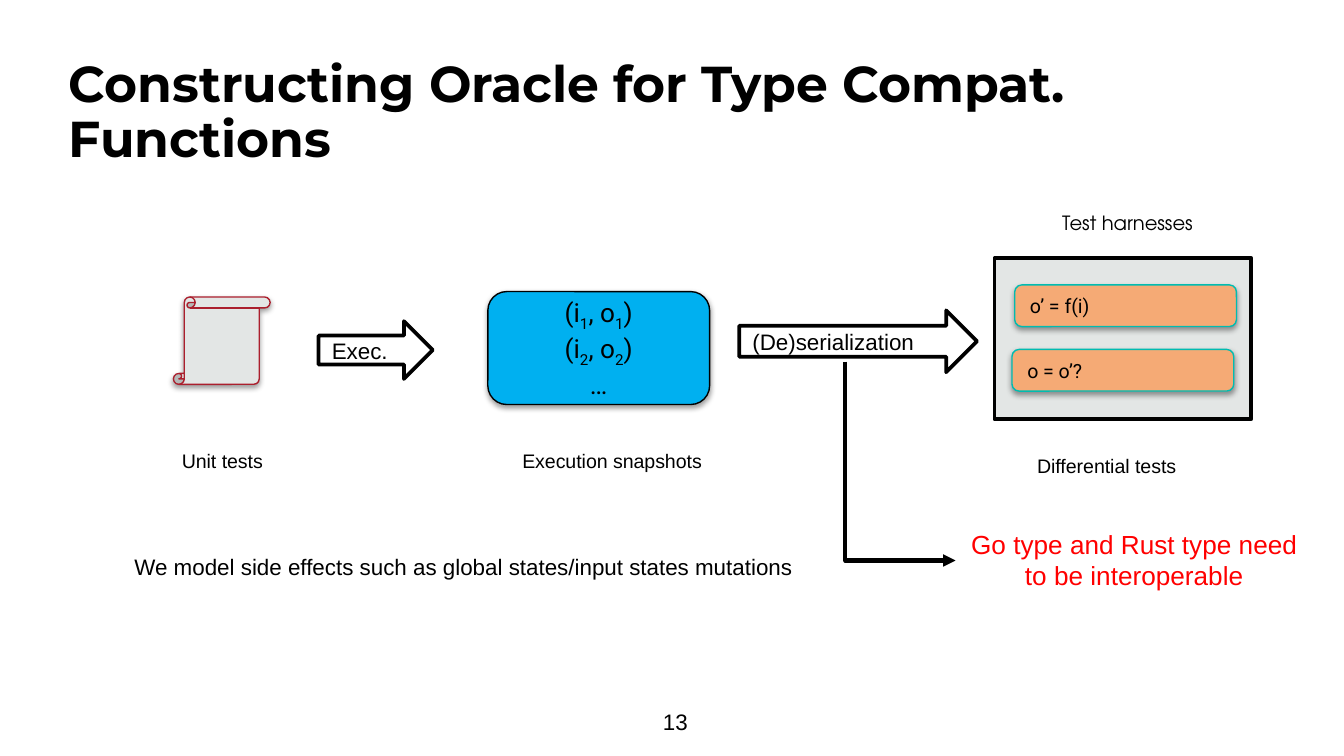
"""Build the slide on constructing an oracle for type-compatible functions."""
from lxml import etree
from pptx import Presentation
from pptx.dml.color import RGBColor
from pptx.enum.shapes import MSO_CONNECTOR, MSO_SHAPE
from pptx.enum.text import MSO_ANCHOR, PP_ALIGN
from pptx.oxml import parse_xml
from pptx.oxml.ns import qn
from pptx.util import Inches, Pt

ARROW, SCROLL = MSO_SHAPE.RIGHT_ARROW, MSO_SHAPE.VERTICAL_SCROLL
RECT, ROUND = MSO_SHAPE.RECTANGLE, MSO_SHAPE.ROUNDED_RECTANGLE
ELBOW = MSO_CONNECTOR.ELBOW
TOP, MIDDLE = MSO_ANCHOR.TOP, MSO_ANCHOR.MIDDLE
LEFT, CENTER = PP_ALIGN.LEFT, PP_ALIGN.CENTER
SHADOW = (
    '<a:effectLst xmlns:a="http://schemas.openxmlformats.org/drawingml/2006/main">'
    '<a:outerShdw blurRad="39370" dist="20320" dir="5400000" rotWithShape="0">'
    '<a:srgbClr val="000000"><a:alpha val="38000"/></a:srgbClr>'
    '</a:outerShdw></a:effectLst>'
)


def tint(code):
    return RGBColor.from_string(code)


def write(shape, lines, size, face="Arial", color="000000", align=CENTER, anchor=TOP):
    frame = shape.text_frame
    frame.word_wrap = True
    frame.vertical_anchor = anchor
    for idx, line in enumerate(lines):
        para = frame.add_paragraph() if idx else frame.paragraphs[0]
        para.alignment = align
        for pos, part in enumerate(line.split("_")):
            run = para.add_run()
            run.text = part
            form = {"size": Pt(size), "name": face}
            for key, val in form.items():
                setattr(run.font, key, val)
            run.font.color.rgb = tint(color)
            if pos % 2:
                run.font._element.set("baseline", "-25000")


deck = Presentation()
deck.slide_width = Inches(10)
deck.slide_height = deck.slide_width * 9 // 16
slide = deck.slides.add_slide(deck.slide_layouts[5])
shapes = slide.shapes

title = shapes.title
place = {"left": 0.41, "top": 0.3, "width": 9.19, "height": 1.09}
for key, val in place.items():
    setattr(title, key, Inches(val))
write(title, ["Constructing Oracle for Type Compat. Functions"], 27, "Montserrat",
      align=LEFT, anchor=MIDDLE)
head = title.text_frame.paragraphs[0]
head.line_spacing = 0.9
head.runs[0].font.bold = True

pairs = ["(i_1_, o_1_)", "(i_2_, o_2_)", "…"]
blocks = [
    (ARROW, (5.5, 2.31, 1.77, 0.46), "FFFFFF", "000000", 2, False,
     ["(De)serialization"], 12, "Arial", LEFT),
    (SCROLL, (1.29, 2.21, 0.72, 0.65), "E3E6E5", "AB1F2D", 0.75, True,
     [], 12, "Arial", LEFT),
    (RECT, (7.4, 1.92, 1.91, 1.2), "E3E6E5", "000000", 2, False,
     [], 12, "Arial", LEFT),
    (ROUND, (7.55, 2.12, 1.65, 0.31), "F5AA75", "00BCB1", 0.75, True,
     ["o’ = f(i)"], 10.5, "Roboto", LEFT),
    (ROUND, (7.53, 2.6, 1.65, 0.31), "F5AA75", "00BCB1", 0.75, True,
     ["o = o’?"], 10.5, "Roboto", LEFT),
    (ROUND, (3.63, 2.17, 1.65, 0.84), "00B0F0", "000000", 0.75, True,
     pairs, 14, "Roboto", CENTER),
    (ARROW, (2.37, 2.39, 0.85, 0.43), "FFFFFF", "000000", 2, False,
     ["Exec."], 12, "Arial", LEFT),
]
for kind, box, fill, edge, width, shade, lines, size, face, align in blocks:
    block = shapes.add_shape(kind, *map(Inches, box))
    block.fill.solid()
    block.fill.fore_color.rgb = tint(fill)
    block.line.color.rgb = tint(edge)
    block.line.width = Pt(width)
    if shade:
        block._element.spPr.append(parse_xml(SHADOW))
    else:
        block.shadow.inherit = False
    write(block, lines, size, face, align=align, anchor=MIDDLE)

labels = [
    ("Execution snapshots", (3.6, 3.29, 1.91, 0.28), {"size": 10.5}),
    ("Unit tests", (0.7, 3.29, 1.91, 0.28), {"size": 10.5}),
    ("Test harnesses", (7.58, 1.52, 1.62, 0.28),
     {"size": 10.5, "face": "TeX Gyre Adventor"}),
    ("Differential tests", (7.28, 3.33, 1.91, 0.28), {"size": 10.5}),
    ("Go type and Rust type need to be interoperable", (7.11, 3.88, 2.66, 0.57),
     {"size": 14, "color": "FF0000"}),
    ("13", (4.73, 5.22, 0.59, 0.3), {"size": 12, "anchor": MIDDLE}),
]
for text, box, form in labels:
    write(shapes.add_textbox(*map(Inches, box)), [text], **form)

note = shapes.add_textbox(*map(Inches, (1, 4.07, 5.65, 0.3)))
note.text_frame.margin_left = note.text_frame.margin_right = 0
write(note, ["We model side effects such as global states/input states mutations"], 12,
      align=LEFT)

link = shapes.add_connector(ELBOW, *map(Inches, (5.96, 3.02, 7.44, 3.84)))
link.line.color.rgb = tint("000000")
link.line.width = Pt(2.25)
props = link._element.spPr
props.find(qn("a:prstGeom")).set("prst", "bentConnector2")
turn = props.find(qn("a:xfrm"))
turn.set("rot", "16200000")
turn.set("flipH", "1")
etree.SubElement(props.find(qn("a:ln")), qn("a:tailEnd"), type="triangle")
etree.SubElement(props, qn("a:effectLst"))

deck.save("out.pptx")
